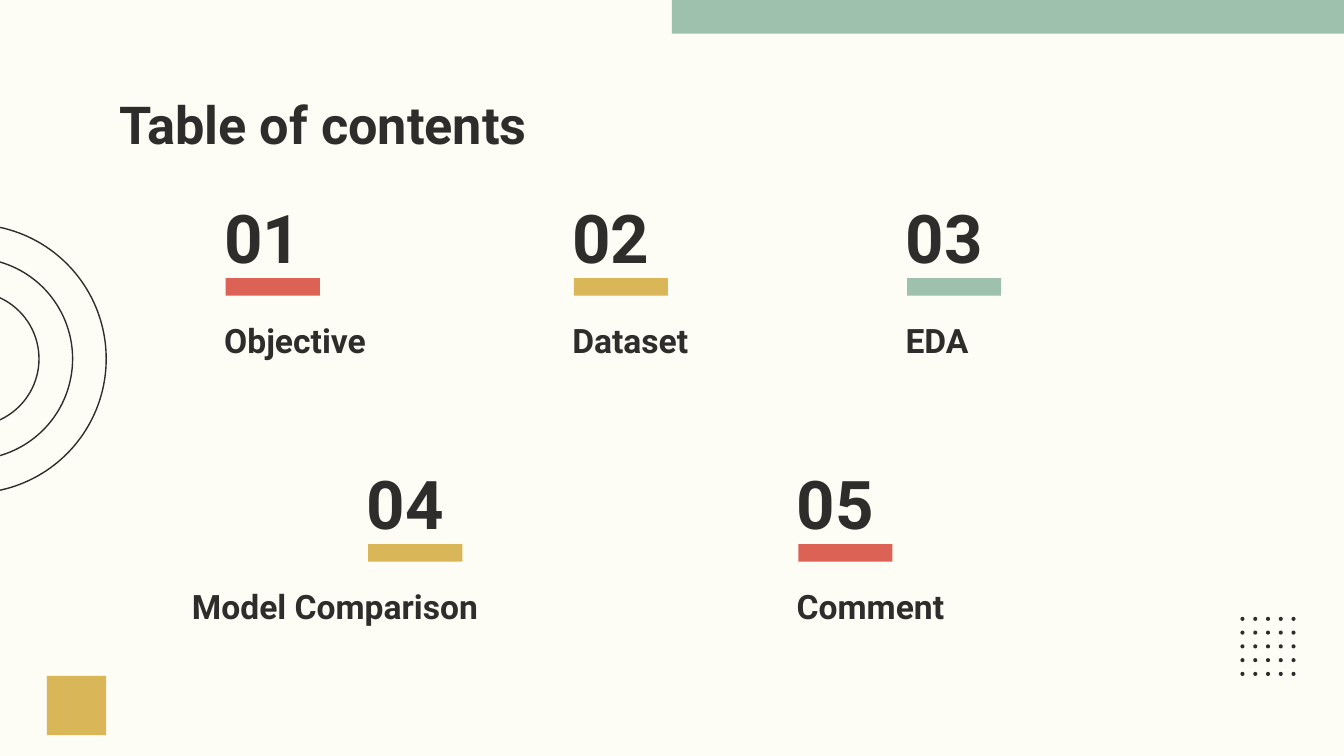
from pptx import Presentation
from pptx.dml.color import RGBColor
from pptx.enum.shapes import MSO_SHAPE
from pptx.enum.text import MSO_ANCHOR
from pptx.util import Inches, Pt

W = 10
H = W * 9 / 16
FONT = "Roboto"
COLORS = {
    "paper": "FDFCF5",
    "ink": "2E2D2C",
    "green": "9DC1AD",
    "gold": "D9B759",
    "red": "DC6256",
}
ROWS = (1.42, 3.4)
ENTRIES = [
    ("01", "Objective", 0, 1.57, 1.57, 1.8, "red"),
    ("02", "Dataset", 0, 4.16, 4.16, 1.8, "gold"),
    ("03", "EDA", 0, 6.64, 6.64, 1.8, "green"),
    ("04", "Model Comparison", 1, 2.63, 1.33, 3.55, "gold"),
    ("05", "Comment", 1, 5.83, 5.83, 1.86, "red"),
]


def rgb(name):
    """Return the named palette colour."""
    return RGBColor.from_string(COLORS[name])


def add_shape(s, kind, x, y, w, h, fill=None, line=None):
    """Add a flat preset shape with an optional fill and outline."""
    sp = s.shapes.add_shape(kind, Inches(x), Inches(y), Inches(w), Inches(h))
    sp.shadow.inherit = False
    if fill:
        sp.fill.solid()
        sp.fill.fore_color.rgb = rgb(fill)
    else:
        sp.fill.background()
    if line:
        sp.line.color.rgb = rgb(line)
        sp.line.width = Pt(0.75)
    else:
        sp.line.fill.background()


def add_text(s, text, x, y, w, h, size, anchor=MSO_ANCHOR.TOP):
    """Add a bold single-run text box."""
    sp = s.shapes.add_textbox(Inches(x), Inches(y), Inches(w), Inches(h))
    tf = sp.text_frame
    tf.word_wrap = True
    tf.vertical_anchor = anchor
    tf.margin_left = tf.margin_right = Inches(0.1)
    tf.margin_top = tf.margin_bottom = Inches(0.1)
    r = tf.paragraphs[0].add_run()
    r.text = text
    r.font.name, r.font.size, r.font.bold = FONT, Pt(size), True
    r.font.color.rgb = rgb("ink")


def add_dots(s, x, y, w, h, n=5, d=0.03):
    """Add an n by n grid of dots across the given span."""
    for row in range(n):
        for col in range(n):
            add_shape(s, MSO_SHAPE.OVAL, x + w * col / (n - 1),
                      y + h * row / (n - 1), d, d, "ink")


def add_rings(s, cx, cy, diameters):
    """Add concentric outlined circles."""
    for d in diameters:
        add_shape(s, MSO_SHAPE.OVAL, cx - d / 2, cy - d / 2, d, d, line="ink")


def add_entry(s, number, label, row, x, label_x, label_w, color):
    """Add one numbered entry with its bar and label."""
    y = ROWS[row]
    add_text(s, number, x, y, 1.18, 0.74, 36, MSO_ANCHOR.BOTTOM)
    add_text(s, label, label_x, y + 0.86, label_w, 0.46, 18)
    add_shape(s, MSO_SHAPE.RECTANGLE, x + 0.11, y + 0.65, 0.7, 0.13, color)


def main():
    """Build the contents slide and save it."""
    prs = Presentation()
    prs.slide_width, prs.slide_height = Inches(W), Inches(H)
    s = prs.slides.add_slide(prs.slide_layouts[6])
    s.background.fill.solid()
    s.background.fill.fore_color.rgb = rgb("paper")

    add_shape(s, MSO_SHAPE.RECTANGLE, W / 2, 0, W / 2, 0.25, "green")
    add_shape(s, MSO_SHAPE.RECTANGLE, 0.35, 5.03, 0.44, 0.44, "gold")
    add_dots(s, 9.23, 4.59, 0.38, 0.41)
    add_rings(s, -0.21, 2.67, (2, 1.5, 1))
    add_text(s, "Table of contents", 0.79, 0.59, 8.42, 0.63, 28)
    for entry in ENTRIES:
        add_entry(s, *entry)
    prs.save("out.pptx")


if __name__ == "__main__":
    main()
